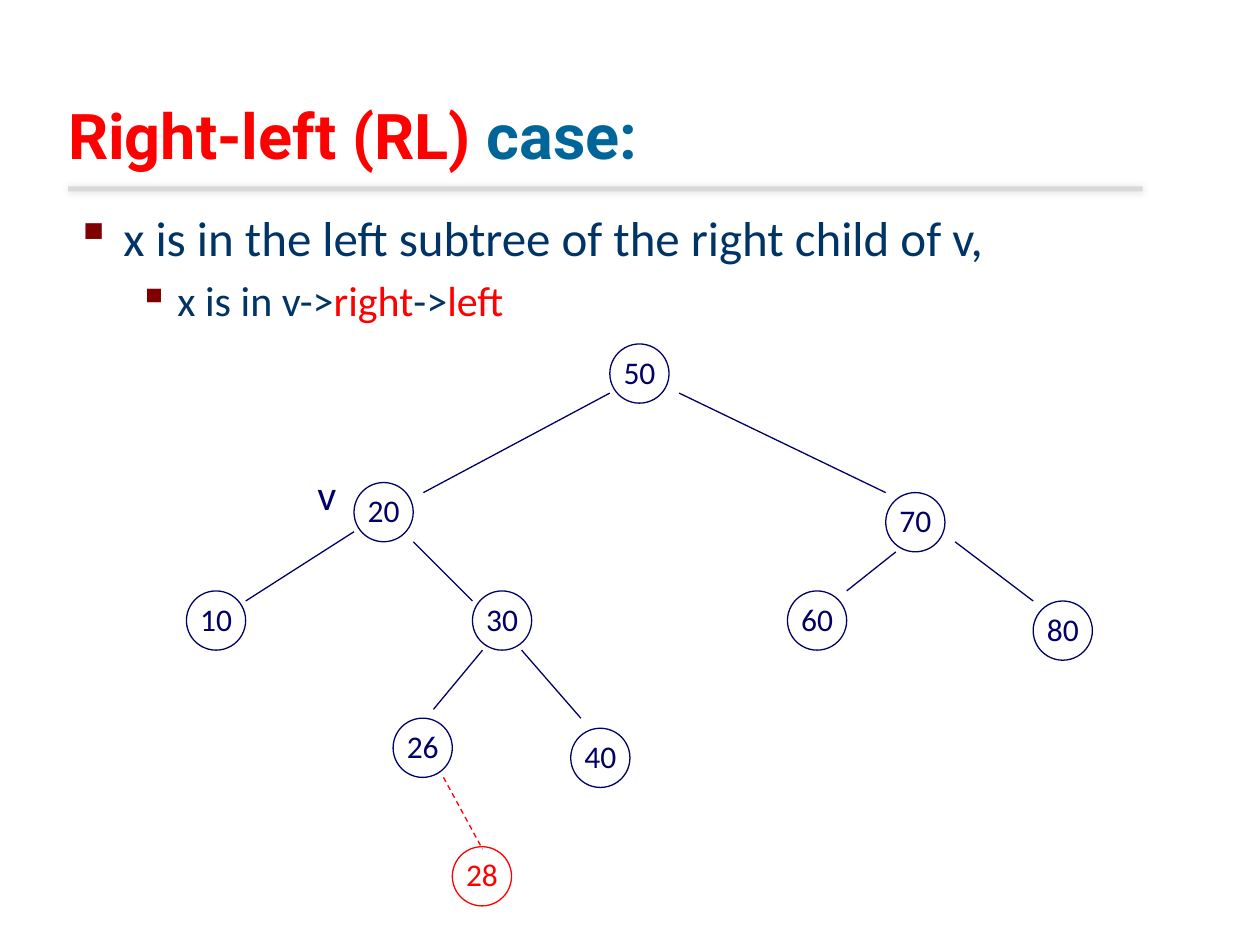
import dataclasses

import lxml.etree
import pptx
import pptx.dml.color
import pptx.enum.dml
import pptx.enum.shapes
import pptx.enum.text
import pptx.oxml
import pptx.oxml.ns
import pptx.util

Inches = pptx.util.Inches
Pt = pptx.util.Pt

COLORS = {
    "red": "FF0000",
    "teal": "006699",
    "text": "003366",
    "bullet": "800000",
    "navy": "000066",
    "rule": "D9D9D9",
}
NODE_SIZE = 0.47
LINE_WIDTH = 0.75


@dataclasses.dataclass(frozen=True)
class Node:
    label: str
    left: float
    top: float
    color: str = "navy"


@dataclasses.dataclass(frozen=True)
class Edge:
    start: tuple[float, float]
    end: tuple[float, float]
    color: str = "navy"
    dashed: bool = False


@dataclasses.dataclass(frozen=True)
class Bullet:
    spans: tuple[tuple[str, str], ...]
    size: int
    margin: float
    hanging: float
    level: int = 0
    space_before: float = 0


NODES = (
    Node("20", 2.81, 3.83),
    Node("10", 1.48, 4.69),
    Node("26", 3.12, 5.7),
    Node("40", 4.53, 5.78),
    Node("30", 3.75, 4.69),
    Node("50", 4.84, 2.73),
    Node("70", 7.03, 3.91),
    Node("60", 6.25, 4.69),
    Node("80", 8.2, 4.77),
    Node("28", 3.59, 6.72, "red"),
)
EDGES = (
    Edge((4.84, 3.12), (3.36, 3.91)),
    Edge((5.39, 3.12), (7.03, 3.91)),
    Edge((7.11, 4.38), (6.72, 4.69)),
    Edge((7.58, 4.3), (8.2, 4.77)),
    Edge((2.81, 4.22), (1.95, 4.77)),
    Edge((3.28, 4.3), (3.75, 4.77)),
    Edge((3.83, 5.16), (3.44, 5.63)),
    Edge((4.14, 5.16), (4.61, 5.7)),
    Edge((3.52, 6.17), (3.83, 6.74), "red", True),
)
BULLETS = (
    Bullet((("x is in the left subtree of the right child of v,", "text"),), 28, 0.38, 0.38),
    Bullet(
        (("x is in v->", "text"), ("right", "red"), ("->", "text"), ("left", "red")),
        24, 0.81, 0.31, level=1, space_before=4.8,
    ),
)


def rgb(name: str) -> pptx.dml.color.RGBColor:
    return pptx.dml.color.RGBColor.from_string(COLORS[name])


def add_span(para, text: str, *, size: float, color: str, font: str = "Calibri", bold: bool = False) -> None:
    span = para.add_run()
    span.text = text
    span.font.name = font
    span.font.size = Pt(size)
    span.font.bold = bold
    span.font.color.rgb = rgb(color)


def add_label(shapes, text: str, left: float, top: float, width: float, height: float,
              *, size: float, color: str) -> None:
    box = shapes.add_textbox(Inches(left), Inches(top), Inches(width), Inches(height))
    box.text_frame.word_wrap = False
    box.text_frame.auto_size = pptx.enum.text.MSO_AUTO_SIZE.SHAPE_TO_FIT_TEXT
    add_span(box.text_frame.paragraphs[0], text, size=size, color=color)


def add_title(page) -> None:
    title = page.shapes.title
    title.left, title.top = Inches(0.44), Inches(0.17)
    title.width, title.height = Inches(8.5), Inches(1.25)
    frame = title.text_frame
    frame.auto_size = pptx.enum.text.MSO_AUTO_SIZE.NONE
    frame.vertical_anchor = pptx.enum.text.MSO_ANCHOR.BOTTOM
    para = frame.paragraphs[0]
    para.alignment = pptx.enum.text.PP_ALIGN.LEFT
    for text, color in (("Right-left (RL)", "red"), (" case:", "teal")):
        add_span(para, text, size=36, color=color, font="Roboto", bold=True)


def add_rule(page) -> None:
    rule = page.shapes.add_shape(
        pptx.enum.shapes.MSO_SHAPE.RECTANGLE, Inches(0.54), Inches(1.48), Inches(8.53), Inches(0.04))
    rule.fill.solid()
    rule.fill.fore_color.rgb = rgb("rule")
    rule.line.fill.background()
    rule.shadow.inherit = False
    effects = rule._element.spPr.find(pptx.oxml.ns.qn("a:effectLst"))
    effects.append(pptx.oxml.parse_xml(
        f'<a:outerShdw {pptx.oxml.ns.nsdecls("a")} blurRad="{Pt(4)}" dist="0">'
        f'<a:srgbClr val="{COLORS["rule"]}"/></a:outerShdw>'))


def add_bullets(page) -> None:
    box = page.shapes.add_textbox(Inches(0.5), Inches(1.6), Inches(8.95), Inches(1.06))
    frame = box.text_frame
    frame.word_wrap = True
    for index, bullet in enumerate(BULLETS):
        para = frame.add_paragraph() if index else frame.paragraphs[0]
        para.level = bullet.level
        para.space_before = Pt(bullet.space_before)
        properties = para._p.get_or_add_pPr()
        properties.set("marL", str(Inches(bullet.margin)))
        properties.set("indent", str(-Inches(bullet.hanging)))
        color = lxml.etree.SubElement(properties, pptx.oxml.ns.qn("a:buClr"))
        lxml.etree.SubElement(color, pptx.oxml.ns.qn("a:srgbClr"), val=COLORS["bullet"])
        lxml.etree.SubElement(properties, pptx.oxml.ns.qn("a:buChar"), char="▪")
        for text, name in bullet.spans:
            add_span(para, text, size=bullet.size, color=name)


def add_node(page, node: Node) -> None:
    group = page.shapes.add_group_shape()
    circle = group.shapes.add_shape(
        pptx.enum.shapes.MSO_SHAPE.OVAL,
        Inches(node.left), Inches(node.top), Inches(NODE_SIZE), Inches(NODE_SIZE))
    circle.fill.background()
    circle.line.color.rgb = rgb(node.color)
    circle.line.width = Pt(LINE_WIDTH)
    circle.shadow.inherit = False
    add_label(group.shapes, node.label, node.left + 0.01, node.top + 0.02, 0.45, 0.4,
              size=18, color=node.color)


def add_edge(page, edge: Edge) -> None:
    line = page.shapes.add_connector(
        pptx.enum.shapes.MSO_CONNECTOR.STRAIGHT,
        *(Inches(value) for value in edge.start + edge.end))
    line.line.color.rgb = rgb(edge.color)
    line.line.width = Pt(LINE_WIDTH)
    if edge.dashed:
        line.line.dash_style = pptx.enum.dml.MSO_LINE.DASH
    lxml.etree.SubElement(line._element.spPr, pptx.oxml.ns.qn("a:effectLst"))


def main() -> None:
    deck = pptx.Presentation()
    deck.slide_width, deck.slide_height = Inches(10), Inches(7.5)
    page = deck.slides.add_slide(deck.slide_layouts.get_by_name("Title Only"))
    add_rule(page)
    add_title(page)
    add_bullets(page)
    for node in NODES:
        add_node(page, node)
    for edge in EDGES:
        add_edge(page, edge)
    add_label(page.shapes, "v", 2.42, 3.67, 0.35, 0.5, size=24, color="navy")
    deck.save("out.pptx")


if __name__ == "__main__":
    main()
